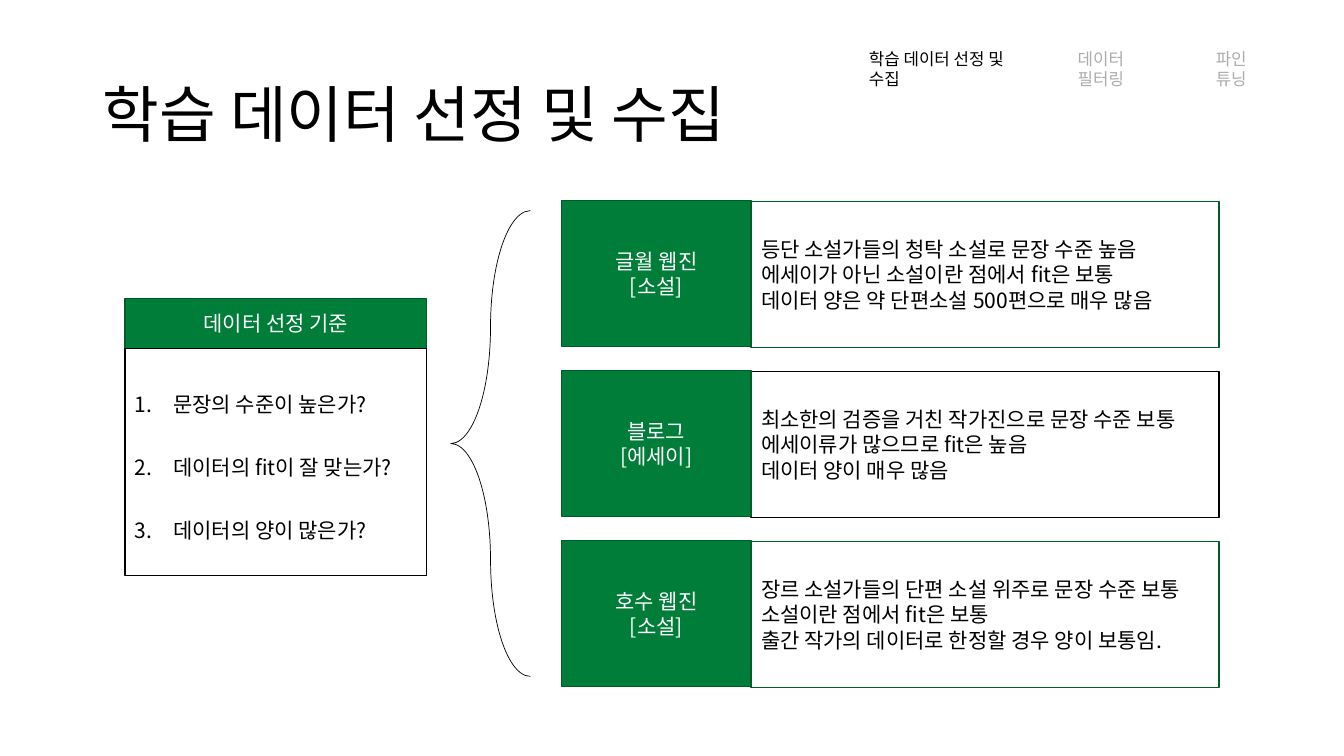
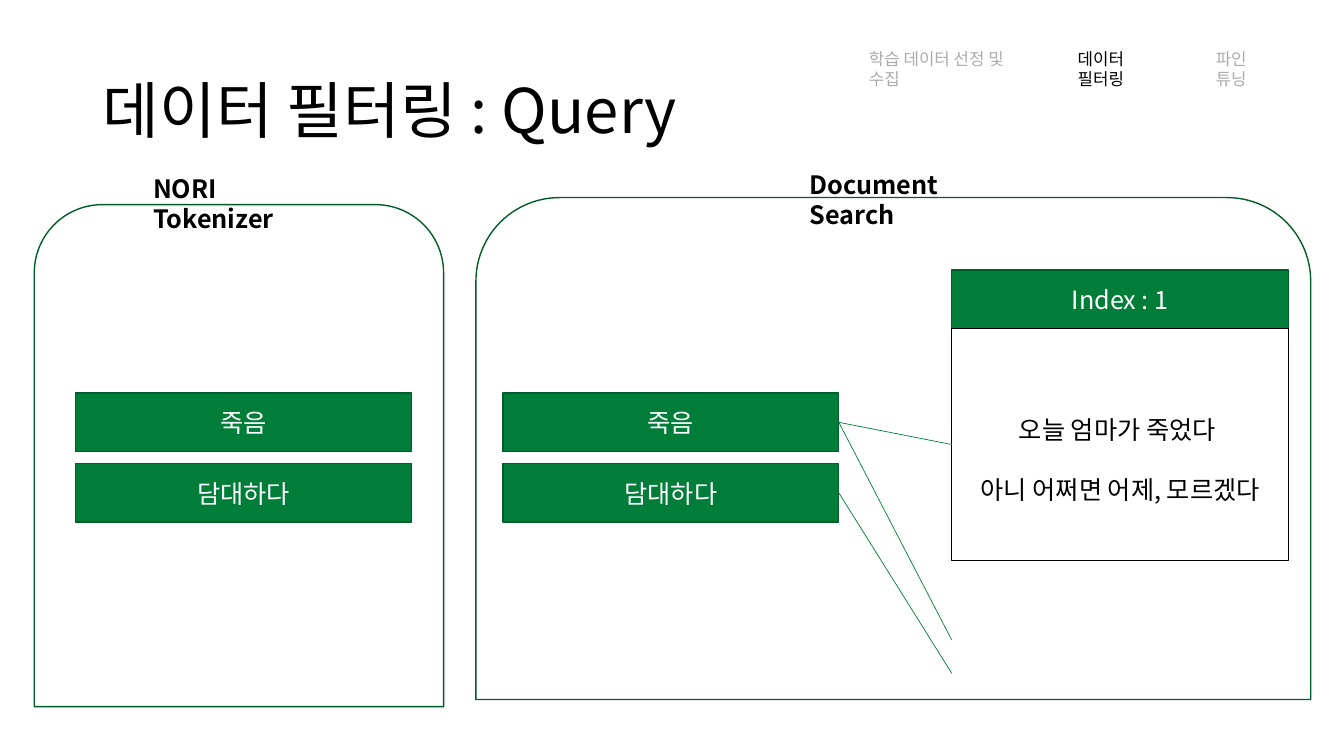
import pptx
import pptx.util
import pptx.dml.color
import pptx.enum.shapes
import pptx.enum.text
import pptx.oxml.ns
import lxml.etree

FONT = "Noto Sans CJK KR"
GREEN, EDGE, BLACK, WHITE, GRAY = "007E39", "005D2A", "000000", "FFFFFF", "AFABAB"
KIND = pptx.enum.shapes.MSO_SHAPE
MID = pptx.enum.text.MSO_ANCHOR.MIDDLE
TOP = pptx.enum.text.MSO_ANCHOR.TOP
LEFT = pptx.enum.text.PP_ALIGN.LEFT
CENTER = pptx.enum.text.PP_ALIGN.CENTER
COLS, ROWS = 1333, 750
STEPS = [("학습 데이터 선정 및 수집", 852, 182),
         ("데이터 필터링", 1059, 112),
         ("파인 튜닝", 1196, 82)]
TERMS = ["죽음", "담대하다"]

deck = pptx.Presentation()
deck.slide_width = pptx.util.Inches(13.33)
deck.slide_height = pptx.util.Inches(7.5)


def tint(text):
    """Turn a hex string into a colour."""
    return pptx.dml.color.RGBColor.from_string(text)


def span(box):
    """Turn a box in grid columns and rows into slide lengths."""
    x, y, w, h = box
    col, row = deck.slide_width / COLS, deck.slide_height / ROWS
    return [round(n) for n in (x * col, y * row, w * col, h * row)]


def write(frame, lines, size, color=BLACK, align=LEFT, anchor=MID, space=None, bold=False):
    """Fill a text frame with evenly styled lines."""
    frame.word_wrap = True
    frame.auto_size = pptx.enum.text.MSO_AUTO_SIZE.NONE
    frame.vertical_anchor = anchor
    frame.text = "\n".join(lines)
    for para in frame.paragraphs:
        para.alignment = align
        para.line_spacing = space
        for run in para.runs:
            run.font.name, run.font.size = FONT, pptx.util.Pt(size)
            run.font.bold = bold
            run.font.color.rgb = tint(color)
            east = lxml.etree.SubElement(run.font._element, pptx.oxml.ns.qn("a:ea"))
            east.set("typeface", FONT)


def number(frame):
    """Number the paragraphs of a text frame."""
    for para in frame.paragraphs:
        props = para._p.get_or_add_pPr()
        indent = pptx.util.Inches(0.38)
        props.set("marL", str(indent))
        props.set("indent", str(-indent))
        mark = lxml.etree.SubElement(props, pptx.oxml.ns.qn("a:buAutoNum"))
        mark.set("type", "arabicPeriod")


def block(slide, box, fill=None, line=EDGE, kind=KIND.RECTANGLE, width=1):
    """Draw an outlined shape."""
    shape = slide.shapes.add_shape(kind, *span(box))
    shape.shadow.inherit = False
    if fill:
        shape.fill.solid()
        shape.fill.fore_color.rgb = tint(fill)
    else:
        shape.fill.background()
    shape.line.color.rgb = tint(line)
    shape.line.width = pptx.util.Pt(width)
    return shape


def bar(slide, box, lines, size):
    """Draw a green block with centred white text."""
    write(block(slide, box, GREEN).text_frame, lines, size, WHITE, CENTER)


def label(slide, box, text, size, color=BLACK, bold=False):
    """Place a free line of text."""
    frame = slide.shapes.add_textbox(*span(box)).text_frame
    write(frame, [text], size, color, anchor=TOP, bold=bold)


def link(slide, start, end):
    """Join two grid points with a thin green line."""
    x, y, right, low = span(start + end)
    wire = slide.shapes.add_connector(pptx.enum.shapes.MSO_CONNECTOR.STRAIGHT, x, y, right, low)
    wire.line.color.rgb = tint(GREEN)
    wire.line.width = pptx.util.Pt(0.5)
    lxml.etree.SubElement(wire._element.spPr, pptx.oxml.ns.qn("a:effectLst"))


def page(title, top, step):
    """Add a slide with its title and the step list."""
    slide = deck.slides.add_slide(deck.slide_layouts[5])
    head = slide.shapes.title
    head.left, head.top, head.width, head.height = span((92, top, 1150, 145))
    write(head.text_frame, [title], 44, space=0.9)
    for index, (name, x, w) in enumerate(STEPS):
        label(slide, (x, 43, w, 30), name, 12, BLACK if index == step else GRAY)
    return slide


def panel(slide, box, head, title, lines, size, **style):
    """Draw a green heading over an outlined text body."""
    x, y, w, h = box
    bar(slide, (x, y, w, head), [title], size)
    body = block(slide, (x, y + head, w, h - head), line=BLACK)
    write(body.text_frame, lines, size, **style)
    return body


def stack(slide, box, rows, gap=24, side=188):
    """Draw equal rows of a green name and its notes."""
    x, y, w, h = box
    tall = (h - gap * (len(rows) - 1)) / len(rows)
    for index, (name, notes, line) in enumerate(rows):
        top = y + index * (tall + gap)
        body = block(slide, (x + side, top + 1, w - side, tall), WHITE, line)
        write(body.text_frame, notes, 15)
        bar(slide, (x, top, side, tall), name, 15)


def zone(slide, box, name, dx, dy, wide):
    """Draw a round-topped frame with a bold label on its edge."""
    x, y, w, h = box
    block(slide, box, WHITE, kind=KIND.ROUND_2_SAME_RECTANGLE)
    label(slide, (x + dx, y - dy, wide, 40), name, 18, bold=True)


def terms(slide, box, gap=12):
    """Stack the query terms in a box."""
    x, y, w, h = box
    tall = (h - gap) / len(TERMS)
    for index, term in enumerate(TERMS):
        bar(slide, (x, y + index * (tall + gap), w, tall), [term], 18)


def collect():
    """Build the data selection slide."""
    slide = page("학습 데이터 선정 및 수집", 44, 0)
    body = panel(slide, (124, 296, 299, 275), 50, "데이터 선정 기준",
                 ["문장의 수준이 높은가?", "데이터의 fit이 잘 맞는가?", "데이터의 양이 많은가?"],
                 15, anchor=TOP, space=2.5)
    number(body.text_frame)
    brace = block(slide, (447, 209, 79, 462), WHITE, BLACK, KIND.LEFT_BRACE, 0.5)
    brace.adjustments[0] = 2.05
    stack(slide, (557, 199, 652, 482), [
        (["글월 웹진", "[소설]"],
         ["등단 소설가들의 청탁 소설로 문장 수준 높음",
          "에세이가 아닌 소설이란 점에서 fit은 보통",
          "데이터 양은 약 단편소설 500편으로 매우 많음"], EDGE),
        (["블로그", "[에세이]"],
         ["최소한의 검증을 거친 작가진으로 문장 수준 보통",
          "에세이류가 많으므로 fit은 높음",
          "데이터 양이 매우 많음"], BLACK),
        (["호수 웹진", "[소설]"],
         ["장르 소설가들의 단편 소설 위주로 문장 수준 보통",
          "소설이란 점에서 fit은 보통",
          "출간 작가의 데이터로 한정할 경우 양이 보통임."], EDGE)])


def query():
    """Build the query filtering slide."""
    slide = page("데이터 필터링 : Query", 40, 1)
    zone(slide, (34, 203, 406, 498), "NORI Tokenizer", 108, 36, 198)
    zone(slide, (472, 196, 828, 498), "Document Search", 321, 33, 181)
    panel(slide, (944, 268, 334, 288), 58, "Index : 1",
          ["오늘 엄마가 죽었다 ", "아니 어쩌면 어제, 모르겠다"],
          18, align=CENTER, space=2)
    for start, end in [(419, 635), (419, 441), (489, 668)]:
        link(slide, (832, start), (944, end))
    for x in (75, 499):
        terms(slide, (x, 390, 333, 128))


collect()
query()
deck.save("out.pptx")
